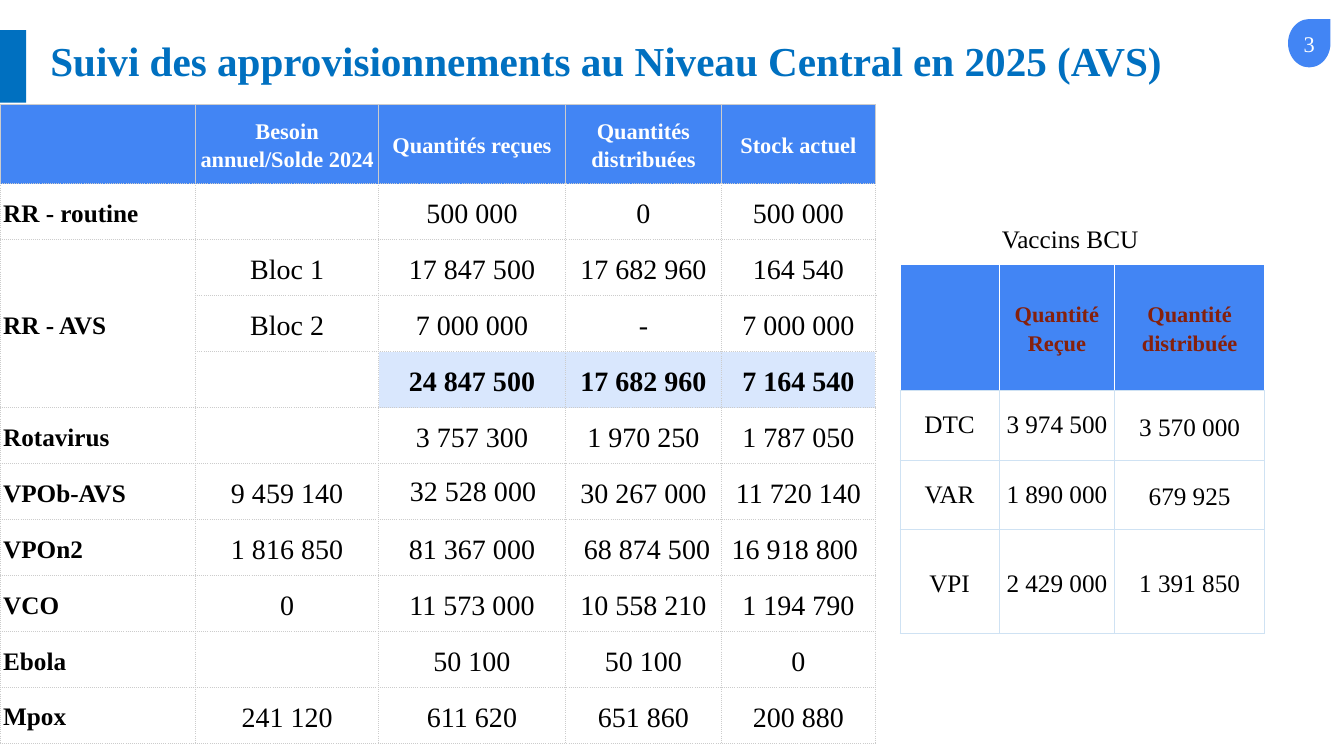
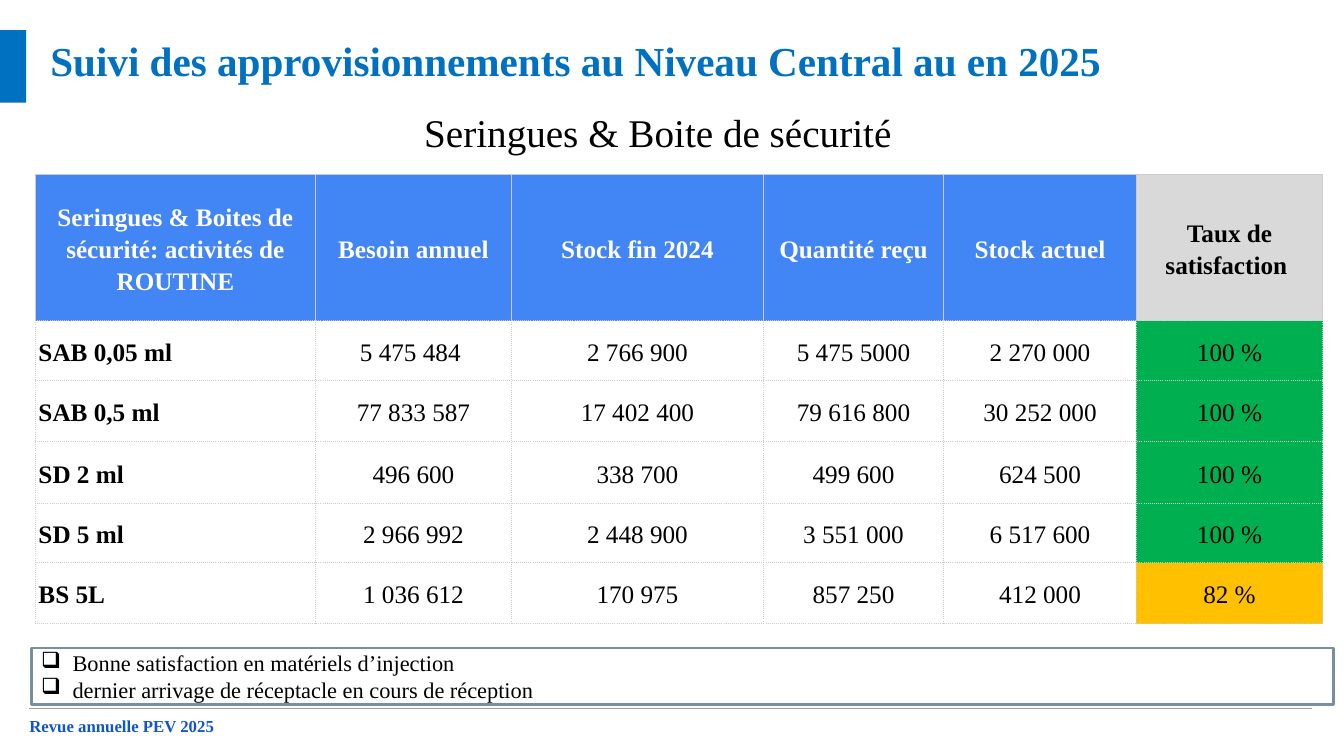
from lxml import etree
from pptx import Presentation
from pptx.dml.color import RGBColor
from pptx.enum.shapes import MSO_CONNECTOR, MSO_SHAPE
from pptx.enum.text import MSO_ANCHOR, PP_ALIGN
from pptx.oxml.ns import qn
from pptx.util import Cm, Pt

LEFT, CENTER = PP_ALIGN.LEFT, PP_ALIGN.CENTER
TOP, MIDDLE = MSO_ANCHOR.TOP, MSO_ANCHOR.MIDDLE
RECTANGLE, TEARDROP = MSO_SHAPE.RECTANGLE, MSO_SHAPE.TEAR
STRAIGHT = MSO_CONNECTOR.STRAIGHT

FONT = "Times New Roman"
COLORS = {
    "title": "0070C0", "header": "4285F4", "white": "FFFFFF", "black": "000000",
    "grid": "CCCCCC", "pale_grid": "CFE2F3", "total": "D9E7FD", "brown": "85200C",
    "grey": "D9D9D9", "good": "00B050", "partial": "FFC000", "rule": "9E9E9E",
    "footer": "1155CC", "note_edge": "78909C",
}
SOLID, DOTTED = "solid", "sysDot"
NO_INSETS = (0, 0, 0, 0)
BOX_INSETS = (0.25, 0.13, 0.25, 0.13)
CELL_INSETS = (0.08, 0.18, 0.08, 0.18)
NARROW_INSETS = (0.1, 0, 0.1, 0)

SUPPLY_ROWS = [
    ["", "Besoin annuel/Solde 2024", "Quantités reçues", "Quantités distribuées", "Stock actuel"],
    ["RR - routine", "", "500 000", "0", "500 000"],
    ["RR - AVS", "Bloc 1", "17 847 500", "17 682 960", "164 540"],
    ["", "Bloc 2", "7 000 000", "-", "7 000 000"],
    ["", "", "24 847 500", "17 682 960", "7 164 540"],
    ["Rotavirus", "", "3 757 300", "1 970 250", "1 787 050"],
    ["VPOb-AVS", "9 459 140", "32 528 000", "30 267 000", "11 720 140"],
    ["VPOn2", "1 816 850", "81 367 000", "68 874 500", "16 918 800"],
    ["VCO", "0", "11 573 000", "10 558 210", "1 194 790"],
    ["Ebola", "", "50 100", "50 100", "0"],
    ["Mpox", "241 120", "611 620", "651 860", "200 880"],
]
TOTAL_ROW = 4
# Cells whose figures sit slightly off the column centre
SHIFTED_CELLS = {
    (6, 2): {"insets": (0.05, 0, 0, 0), "spacing": 1},
    (7, 3): {"insets": (0.18, 0, 0, 0)},
    (7, 4): {"insets": (0, 0, 0.18, 0)},
}
BCU_ROWS = [
    ["", "Quantité\nReçue", "Quantité distribuée"],
    ["DTC", "3 974 500", "3 570 000"],
    ["VAR", "1 890 000", "679 925"],
    ["VPI", "2 429 000", "1 391 850"],
]
SYRINGE_ROWS = [
    ["Seringues & Boites de sécurité: activités de ROUTINE", "Besoin annuel",
     "Stock fin 2024", "Quantité reçu", "Stock actuel", "Taux de satisfaction "],
    ["SAB 0,05 ml", "5 475 484 ", "2 766 900", "5 475 5000", "2 270 000", "100 %"],
    ["SAB 0,5 ml", "77 833 587", "17 402 400", "79 616 800", "30 252 000", "100 %"],
    ["SD 2 ml", "496 600", "338 700", "499 600", "624 500", "100 %"],
    ["SD 5 ml", "2 966 992", "2 448 900", "3 551 000", "6 517 600", "100 %"],
    ["BS 5L", "1 036 612", "170 975", "857 250", "412 000", "82 %"],
]


def rgb(name):
    return RGBColor.from_string(COLORS[name])


def write(frame, text, size=18, color="black", bold=False, align=LEFT, spacing=1, bullet=None):
    """Write one paragraph per line of text."""
    for index, line in enumerate(text.split("\n")):
        para = frame.add_paragraph() if index else frame.paragraphs[0]
        para.alignment = align
        para.line_spacing = spacing
        if bullet:
            props = para._p.get_or_add_pPr()
            props.set("marL", str(Cm(0.79)))
            props.set("indent", str(-Cm(0.79)))
            etree.SubElement(props, qn("a:buChar"), char=bullet)
        span = para.add_run()
        span.text = line
        span.font.name = FONT
        span.font.size = Pt(size)
        span.font.bold = bold
        span.font.color.rgb = rgb(color)


def set_insets(target, insets):
    target.margin_left, target.margin_top, target.margin_right, target.margin_bottom = map(Cm, insets)


def add_text(page, box, text, insets=BOX_INSETS, **style):
    frame = page.shapes.add_textbox(*map(Cm, box)).text_frame
    frame.word_wrap = True
    frame.vertical_anchor = TOP
    set_insets(frame, insets)
    write(frame, text, **style)


def add_block(page, kind, box, fill, edge=None, text=None, insets=BOX_INSETS, **style):
    shape = page.shapes.add_shape(kind, *map(Cm, box))
    shape.shadow.inherit = False
    shape.fill.solid()
    shape.fill.fore_color.rgb = rgb(fill)
    if edge:
        shape.line.color.rgb = rgb(edge)
        shape.line.width = Pt(2)
    else:
        shape.line.fill.background()
    if text:
        frame = shape.text_frame
        frame.word_wrap = True
        frame.vertical_anchor = MIDDLE
        set_insets(frame, insets)
        write(frame, text, **style)


def set_borders(cell, borders):
    """Borders are (colour, dash, points) for left, right, top and bottom."""
    props = cell._tc.get_or_add_tcPr()
    for side, (color, dash, points) in zip("LRTB", borders):
        line = etree.SubElement(props, qn(f"a:ln{side}"), w=str(Pt(points)))
        fill = etree.SubElement(line, qn("a:solidFill"))
        etree.SubElement(fill, qn("a:srgbClr"), val=COLORS[color])
        etree.SubElement(line, qn("a:prstDash"), val=dash)


def add_table(page, corner, widths, heights, rows, cell_style):
    """cell_style(row, column) gives fill, borders, insets and text format."""
    box = (*corner, sum(widths), sum(heights))
    table = page.shapes.add_table(len(rows), len(widths), *map(Cm, box)).table
    table.first_row = table.horz_banding = False
    for column, width in zip(table.columns, widths):
        column.width = Cm(width)
    for r, (row, height) in enumerate(zip(rows, heights)):
        table.rows[r].height = Cm(height)
        for c, text in enumerate(row):
            cell = table.cell(r, c)
            style = cell_style(r, c)
            set_borders(cell, style.pop("borders"))
            fill = style.pop("fill", None)
            if fill:
                cell.fill.solid()
                cell.fill.fore_color.rgb = rgb(fill)
            else:
                cell.fill.background()
            cell.vertical_anchor = MIDDLE
            set_insets(cell, style.pop("insets"))
            if text:
                write(cell.text_frame, text, **style)
    return table


def grid_style(row, column):
    """Look shared by the two dotted tables."""
    dotted, solid = ("grid", DOTTED, 0.75), ("grid", SOLID, 0.75)
    style = {"insets": CELL_INSETS, "spacing": 1.15, "borders": [dotted] * 4,
             "bold": row == 0 or column == 0,
             "align": LEFT if row and column == 0 else CENTER}
    if row == 0:
        style.update(fill="header", color="white", borders=[solid] * 3 + [dotted])
    return style


def supply_style(row, column):
    style = grid_style(row, column)
    if row == 0:
        style["size"] = 16
    elif column:
        style["size"] = 20
    if row == TOTAL_ROW and column > 1:
        style.update(fill="total", bold=True)
    style.update(SHIFTED_CELLS.get((row, column), {}))
    return style


def bcu_style(row, column):
    pale, white = ("pale_grid", SOLID, 0.75), ("white", SOLID, 0.75)
    wide = row in (0, len(BCU_ROWS) - 1) or column == 2
    style = {"insets": NARROW_INSETS, "align": CENTER, "borders": [pale] * 4,
             "spacing": 1.15 if wide else 1}
    if row == 0:
        style.update(fill="header", color="brown", bold=True, size=16,
                     borders=[white, white, ("white", SOLID, 1.5), pale])
    return style


def syringe_style(row, column):
    style = grid_style(row, column)
    if column == len(SYRINGE_ROWS[0]) - 1:
        full = SYRINGE_ROWS[row][column] == "100 %"
        style["fill"] = "grey" if row == 0 else "good" if full else "partial"
        style["color"] = "black"
    return style


def add_page(deck, title):
    """Blank page with the title and its side band."""
    page = deck.slides.add_slide(deck.slide_layouts[6])
    add_text(page, (1.27, 0.89, 31.32, 2.03), title, insets=NO_INSETS,
             size=29.4, color="title", bold=True)
    add_block(page, RECTANGLE, (0, 0.76, 0.66, 1.83), "title")
    return page


def add_footer(page, left, top):
    line = page.shapes.add_connector(STRAIGHT, Cm(left), Cm(top), Cm(left + 32.33), Cm(top))
    line.line.color.rgb = rgb("rule")
    line.line.width = Pt(0.75)
    etree.SubElement(line._element.spPr, qn("a:effectLst"))
    add_text(page, (left, top + 0.17, 31.7, 0.51), "Revue annuelle PEV 2025",
             insets=NO_INSETS, size=12, color="footer", bold=True)


def add_bcu_panel(page, left, top):
    add_table(page, (left, top + 1.15), [2.5, 2.91, 3.78], [3.18, 1.76, 1.74, 2.62],
              BCU_ROWS, bcu_style)
    add_text(page, (left + 2.32, top, 5.64, 1.02), "Vaccins BCU")


def build_vaccines(deck):
    page = add_page(deck, "Suivi des approvisionnements au Niveau Central en 2025 (AVS)")
    table = add_table(page, (0, 2.64), [4.93, 4.61, 4.71, 3.93, 3.88], [1.99] + [1.41] * 10,
                      SUPPLY_ROWS, supply_style)
    table.cell(2, 0).merge(table.cell(TOTAL_ROW, 0))
    add_block(page, TEARDROP, (32.46, 0.48, 1.07, 1.22), "header", text="3",
              insets=NO_INSETS, size=16, color="white", align=CENTER)
    add_bcu_panel(page, 22.68, 5.51)


def build_syringes(deck):
    page = add_page(deck, "Suivi des approvisionnements au Niveau Central au en 2025")
    add_footer(page, 0.74, 17.86)
    add_table(page, (0.89, 4.4), [7.06, 4.94, 6.35, 4.54, 4.86, 4.69],
              [3.68, 1.51, 1.54, 1.55, 1.5, 1.54], SYRINGE_ROWS, syringe_style)
    add_text(page, (10.44, 2.59, 13.89, 1.45), "Seringues & Boite de sécurité", size=28)
    add_block(page, RECTANGLE, (0.79, 16.33, 32.82, 1.42), "white", edge="note_edge",
              text="Bonne satisfaction en matériels d’injection\n"
                   "dernier arrivage de réceptacle en cours de réception",
              size=16, bullet="❑")


def main():
    deck = Presentation()
    deck.slide_width, deck.slide_height = Cm(33.87), Cm(19.05)
    build_vaccines(deck)
    build_syringes(deck)
    deck.save("out.pptx")


if __name__ == "__main__":
    main()
